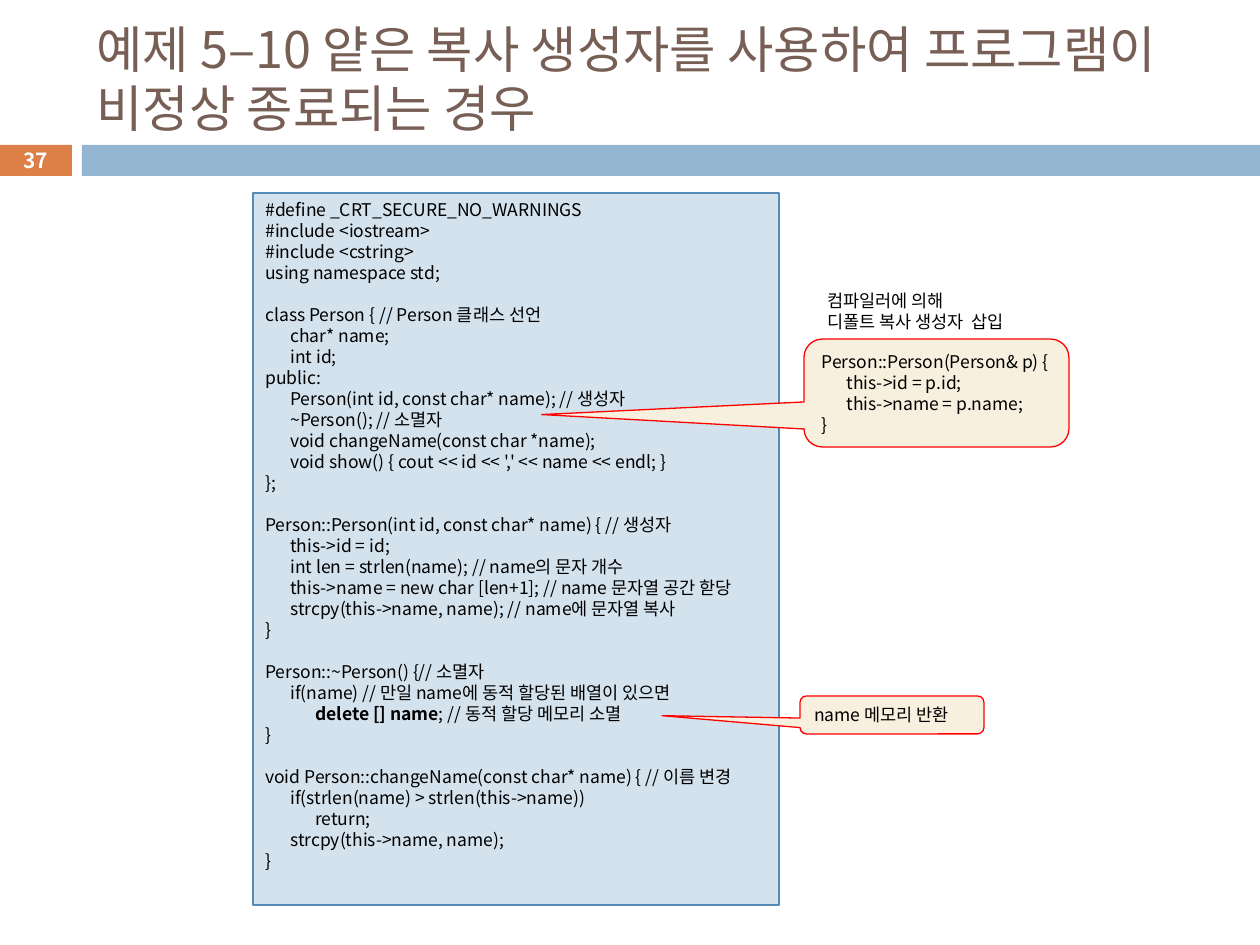
"""Build the slide about a shallow copy constructor that ends a program abnormally."""
import dataclasses

import lxml.etree
import pptx
import pptx.dml.color
import pptx.enum.shapes
import pptx.enum.text
import pptx.oxml.ns
import pptx.util


@dataclasses.dataclass(frozen=True)
class Theme:
    font: str = "Noto Sans CJK KR"
    title: str = "775F55"
    orange: str = "DD8047"
    blue: str = "94B6D2"
    code_fill: str = "D4E2ED"
    code_line: str = "558BB8"
    callout_fill: str = "F7F0DE"
    callout_line: str = "FF0000"
    black: str = "000000"
    white: str = "FFFFFF"
    title_size: float = 28.8
    number_size: float = 11.9
    body_size: float = 10
    title_spacing: float = 34
    body_spacing: float = 12
    line_width: float = 0.75


THEME = Theme()
PX = 914400 / 126
TAB = 25
SHAPES = pptx.enum.shapes.MSO_SHAPE
ANCHOR = pptx.enum.text.MSO_ANCHOR
ALIGN = pptx.enum.text.PP_ALIGN

CODE = """#define _CRT_SECURE_NO_WARNINGS
#include <iostream>
#include <cstring>
using namespace std;

class Person { // Person 클래스 선언
\tchar* name;
\tint id;
public:
\tPerson(int id, const char* name); // 생성자
\t~Person(); // 소멸자
\tvoid changeName(const char *name);
\tvoid show() { cout << id << ',' << name << endl; }
};

Person::Person(int id, const char* name) { // 생성자
\tthis->id = id;
\tint len = strlen(name); // name의 문자 개수
\tthis->name = new char [len+1]; // name 문자열 공간 핟당
\tstrcpy(this->name, name); // name에 문자열 복사
}

Person::~Person() {// 소멸자
\tif(name) // 만일 name에 동적 할당된 배열이 있으면
\t\t**delete [] name**; // 동적 할당 메모리 소멸
}

void Person::changeName(const char* name) { // 이름 변경
\tif(strlen(name) > strlen(this->name))
\t\treturn;
\tstrcpy(this->name, name);
}"""

COPY_CONSTRUCTOR = """Person::Person(Person& p) {
\tthis->id = p.id;
\tthis->name = p.name;
}"""


def add_box(kind, box, fill=None, line=None):
    shape = slide.shapes.add_shape(kind, *(round(value * PX) for value in box))
    shape.shadow.inherit = False
    if fill:
        shape.fill.solid()
        shape.fill.fore_color.rgb = pptx.dml.color.RGBColor.from_string(fill)
    else:
        shape.fill.background()
    if line:
        shape.line.color.rgb = pptx.dml.color.RGBColor.from_string(line)
        shape.line.width = pptx.util.Pt(THEME.line_width)
    else:
        shape.line.fill.background()
    return shape


def write(frame, text, size=THEME.body_size, color=THEME.black, spacing=THEME.body_spacing,
          align=ALIGN.LEFT, anchor=ANCHOR.TOP, bold=False):
    frame.word_wrap = True
    frame.auto_size = pptx.enum.text.MSO_AUTO_SIZE.NONE
    frame.vertical_anchor = anchor
    paragraph = None
    for block in text.split("\n\n"):
        for index, line in enumerate(block.split("\n")):
            starts_block = paragraph is not None and index == 0
            paragraph = frame.add_paragraph() if paragraph is not None else frame.paragraphs[0]
            paragraph.alignment = align
            paragraph.line_spacing = pptx.util.Pt(spacing)
            paragraph.space_before = pptx.util.Pt(spacing if starts_block else 0)
            if "\t" in line:
                properties = paragraph._p.get_or_add_pPr()
                tabs = lxml.etree.SubElement(properties, pptx.oxml.ns.qn("a:tabLst"))
                for stop in (1, 2):
                    lxml.etree.SubElement(tabs, pptx.oxml.ns.qn("a:tab"),
                                          pos=str(round(stop * TAB * PX)), algn="l")
            for part, words in enumerate(line.split("**")):
                run = paragraph.add_run()
                run.text = words
                run.font.size = pptx.util.Pt(size)
                run.font.bold = bold or part % 2 == 1
                run.font.color.rgb = pptx.dml.color.RGBColor.from_string(color)
                run.font.name = THEME.font
                lxml.etree.SubElement(run._r.get_or_add_rPr(), pptx.oxml.ns.qn("a:ea"),
                                      typeface=THEME.font)


presentation = pptx.Presentation()
presentation.slide_width = round(1260 * PX)
presentation.slide_height = round(945 * PX)
slide = presentation.slides.add_slide(presentation.slide_layouts[5])

add_box(SHAPES.RECTANGLE, (-1, 145, 73, 31), THEME.orange)
add_box(SHAPES.RECTANGLE, (82, 145, 1178, 31), THEME.blue)

title = slide.shapes.title
title.left, title.top, title.width, title.height = (round(value * PX) for value in (84, 32, 1124, 93))
title.text_frame.margin_right = 0
write(title.text_frame, "예제 5–10 얕은 복사 생성자를 사용하여 프로그램이 비정상 종료되는 경우",
      THEME.title_size, THEME.title, THEME.title_spacing, anchor=ANCHOR.MIDDLE)

number = slide.shapes.add_textbox(*(round(value * PX) for value in (-1, 143, 73, 34)))
write(number.text_frame, "37", THEME.number_size, THEME.white, 14,
      ALIGN.CENTER, ANCHOR.MIDDLE, bold=True)

code = add_box(SHAPES.RECTANGLE, (253, 193, 526, 712), THEME.code_fill, THEME.code_line)
write(code.text_frame, CODE)

callouts = [
    ((804, 339, 265, 108), (-1.49, 0.2, 0.17), COPY_CONSTRUCTOR),
    ((800, 696, 184, 38), (-1.25, 0.02, 0.17), "name 메모리 반환"),
]
for box, adjustments, text in callouts:
    callout = add_box(SHAPES.ROUNDED_RECTANGULAR_CALLOUT, box, THEME.callout_fill, THEME.callout_line)
    for index, value in enumerate(adjustments):
        callout.adjustments[index] = value
    write(callout.text_frame, text, anchor=ANCHOR.MIDDLE)

caption = slide.shapes.add_textbox(*(round(value * PX) for value in (815, 284, 243, 55)))
write(caption.text_frame, "컴파일러에 의해\n디폴트 복사 생성자  삽입")

presentation.save("out.pptx")
